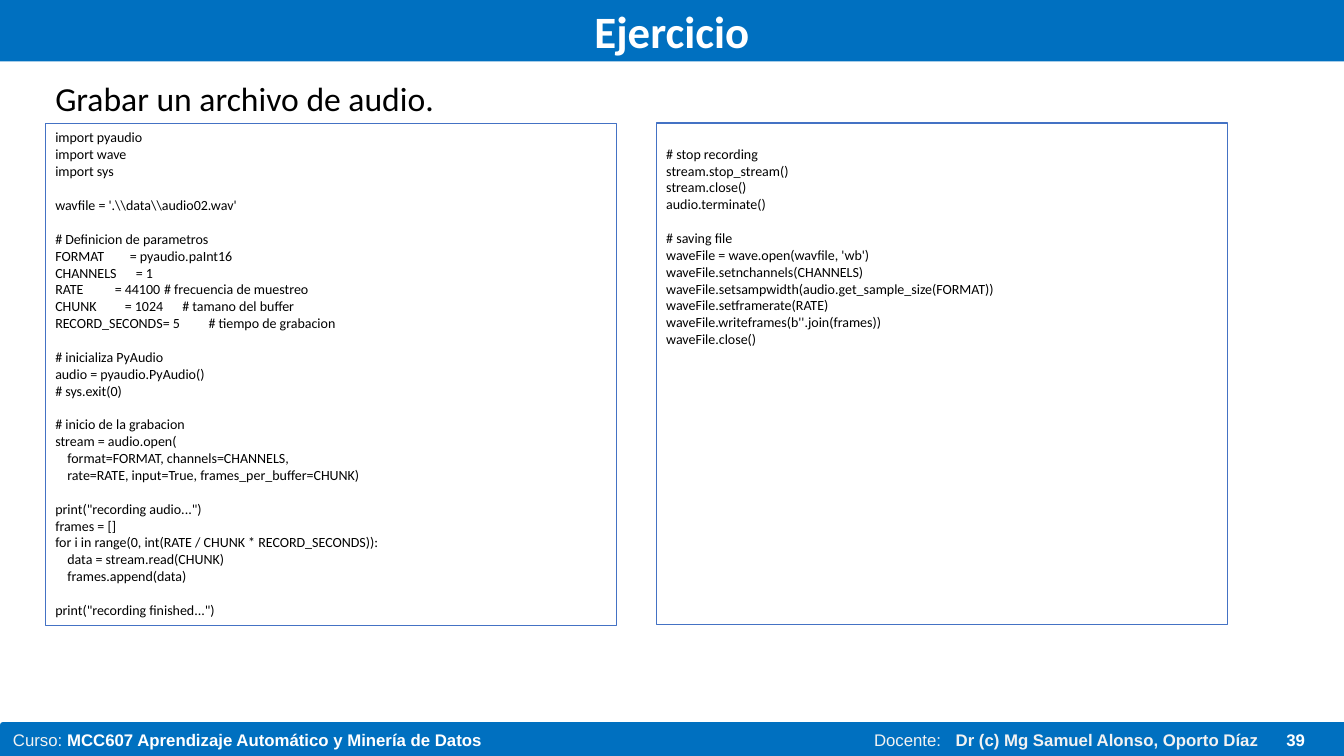
from lxml import etree
from pptx import Presentation
from pptx.dml.color import RGBColor
from pptx.enum.shapes import MSO_SHAPE
from pptx.enum.text import MSO_ANCHOR, PP_ALIGN
from pptx.oxml.ns import qn
from pptx.util import Inches, Pt

COLORS = {"bar": "0070C0", "frame": "4472C4", "text": "000000",
          "white": "FFFFFF", "label": "F2F2F2"}

TITLE = "Ejercicio"
TASK = "Grabar un archivo de audio."
PAGE = "39"
FOOTER = [  # text, color, bold
    ("Curso: ", "label", False),
    ("MCC607 Aprendizaje Automático y Minería de Datos", "white", True),
    ("\tDocente:", "label", False),
    ("\tDr (c) Mg Samuel Alonso, Oporto Díaz", "label", True),
]
FOOTER_STOPS = (8.54, 9.35)

# Each code block is a list of lines: (text, indent level, tab stops)
RECORD_CODE = [
    [("import pyaudio", 0, ()),
     ("import wave", 0, ()),
     ("import sys", 0, ())],
    [("wavfile = '.\\\\data\\\\audio02.wav'", 0, ())],
    [("# Definicion de parametros", 0, ()),
     ("FORMAT\t= pyaudio.paInt16", 0, (0.74,)),
     ("CHANNELS\t= 1", 0, (0.8,)),
     ("RATE\t= 44100\t# frecuencia de muestreo", 0, (0.59, 1.08)),
     ("CHUNK\t= 1024\t# tamano del buffer", 0, (0.69, 1.26)),
     ("RECORD_SECONDS= 5\t# tiempo de grabacion", 0, (1.52,))],
    [("# inicializa PyAudio", 0, ()),
     ("audio = pyaudio.PyAudio()", 0, ()),
     ("# sys.exit(0)", 0, ())],
    [("# inicio de la grabacion", 0, ()),
     ("stream = audio.open(", 0, ()),
     ("format=FORMAT, channels=CHANNELS,", 1, ()),
     ("rate=RATE, input=True, frames_per_buffer=CHUNK)", 1, ())],
    [('print("recording audio...")', 0, ()),
     ("frames = []", 0, ()),
     ("for i in range(0, int(RATE / CHUNK * RECORD_SECONDS)):", 0, ()),
     ("data = stream.read(CHUNK)", 1, ()),
     ("frames.append(data)", 1, ())],
    [('print("recording finished...")', 0, ())],
]
SAVE_CODE = [
    [("# stop recording", 0, ()),
     ("stream.stop_stream()", 0, ()),
     ("stream.close()", 0, ()),
     ("audio.terminate()", 0, ())],
    [("# saving file", 0, ()),
     ("waveFile = wave.open(wavfile, 'wb')", 0, ()),
     ("waveFile.setnchannels(CHANNELS)", 0, ()),
     ("waveFile.setsampwidth(audio.get_sample_size(FORMAT))", 0, ()),
     ("waveFile.setframerate(RATE)", 0, ()),
     ("waveFile.writeframes(b''.join(frames))", 0, ()),
     ("waveFile.close()", 0, ())],
]
PANELS = [  # left, top, top inset, code
    (0.45, 1.23, 0.05, RECORD_CODE),
    (6.51, 1.22, 0.22, SAVE_CODE),
]
PANEL_SIZE = (5.67, 4.98)
CODE_INDENT = 0.12
CODE_LINE = 12.2  # points


def rgb(name):
    return RGBColor.from_string(COLORS[name])


def add_box(slide, at, fill=None, line=None, line_width=0.75):
    box = slide.shapes.add_shape(MSO_SHAPE.RECTANGLE, *map(Inches, at))
    box.shadow.inherit = False
    if fill:
        box.fill.solid()
        box.fill.fore_color.rgb = rgb(fill)
    else:
        box.fill.background()
    if line:
        box.line.color.rgb = rgb(line)
        box.line.width = Pt(line_width)
    else:
        box.line.fill.background()
    box.text_frame.word_wrap = True
    box.text_frame.vertical_anchor = MSO_ANCHOR.TOP
    return box.text_frame


def add_label(slide, at, wrap=True):
    label = slide.shapes.add_textbox(*map(Inches, at)).text_frame
    label.word_wrap = wrap
    return label


def style(paragraph, size, font, color, bold=False, align=PP_ALIGN.LEFT):
    paragraph.alignment = align
    paragraph.font.size = Pt(size)
    paragraph.font.name = font
    paragraph.font.bold = bold
    paragraph.font.color.rgb = rgb(color)


def set_tab_stops(paragraph, stops):
    """Add left tab stops, in inches; call before style()."""
    tabs = etree.SubElement(paragraph._p.get_or_add_pPr(), qn("a:tabLst"))
    for stop in stops:
        etree.SubElement(tabs, qn("a:tab"), pos=str(Inches(stop)), algn="l")


def add_code(frame, blocks):
    paragraph = frame.paragraphs[0]
    for block_number, block in enumerate(blocks):
        for line_number, (text, level, stops) in enumerate(block):
            if block_number or line_number:
                paragraph = frame.add_paragraph()
            paragraph.text = text
            if stops:
                set_tab_stops(paragraph, stops)
            if level:
                paragraph._p.get_or_add_pPr().set(
                    "marL", str(Inches(CODE_INDENT * level)))
            if block_number and line_number == 0:
                paragraph.space_before = Pt(CODE_LINE)
            style(paragraph, 10, "Calibri", "text")


def main():
    deck = Presentation()
    deck.slide_width, deck.slide_height = Inches(13.33), Inches(7.5)
    slide = deck.slides.add_slide(deck.slide_layouts[6])

    footer = add_box(slide, (0.03, 7.19, 13.31, 0.31), "bar", "bar", 4.5)
    course = footer.paragraphs[0]
    set_tab_stops(course, FOOTER_STOPS)
    style(course, 12, "Arial", "white")
    for text, color, bold in FOOTER:
        run = course.add_run()
        run.text = text
        run.font.bold = bold
        run.font.color.rgb = rgb(color)

    page = add_label(slide, (12.66, 7.19, 0.5, 0.3), wrap=False)
    page.text = PAGE
    style(page.paragraphs[0], 12, "Arial", "white", bold=True)

    title = add_box(slide, (0, 0, 13.33, 0.61), "bar")
    title.vertical_anchor = MSO_ANCHOR.MIDDLE
    title.text = TITLE
    style(title.paragraphs[0], 32, "Calibri", "white", True, PP_ALIGN.CENTER)

    task = add_label(slide, (0.45, 0.72, 12.44, 0.5))
    task.text = TASK
    style(task.paragraphs[0], 24, "Calibri", "text")

    for left, top, inset, code in PANELS:
        panel = add_box(slide, (left, top, *PANEL_SIZE), line="frame")
        panel.margin_top = Inches(inset)
        add_code(panel, code)

    deck.save("out.pptx")


if __name__ == "__main__":
    main()
